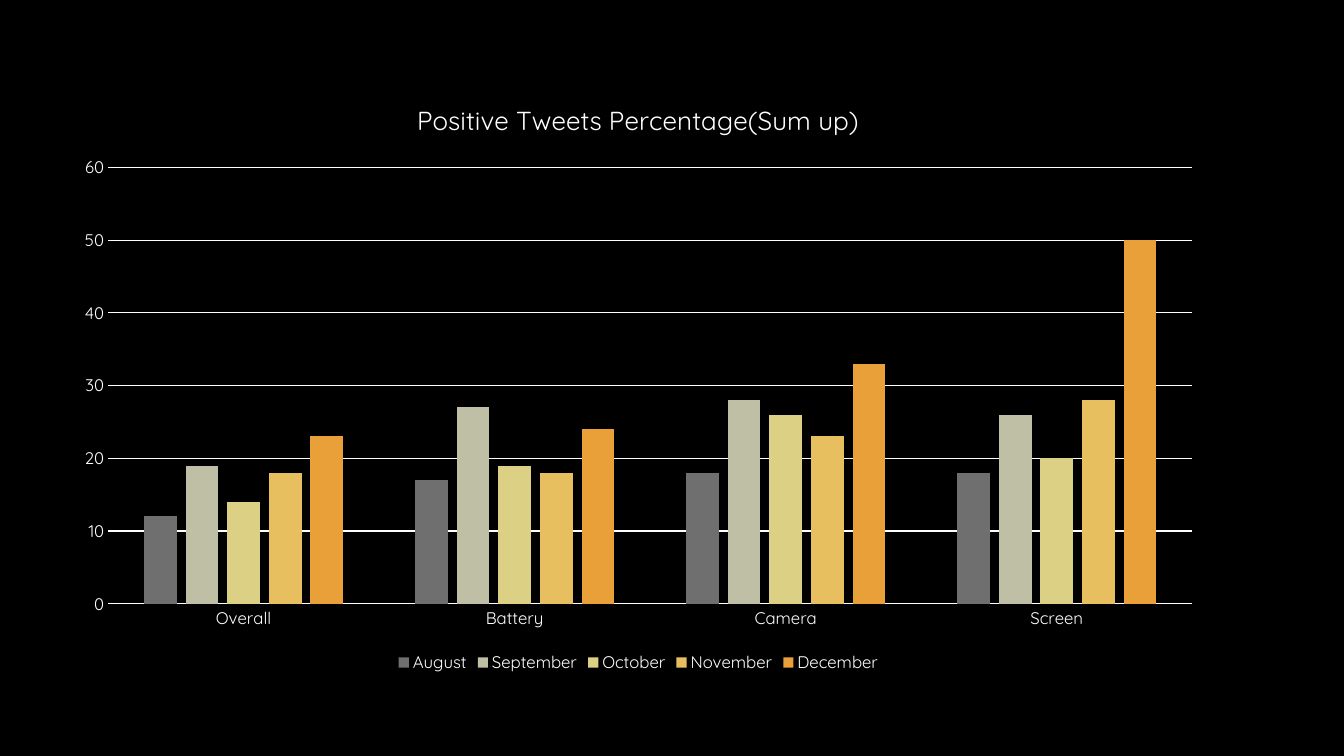
import pptx
import pptx.util
import pptx.chart.data
import pptx.dml.color
import pptx.enum.chart

Cm = pptx.util.Cm
Pt = pptx.util.Pt
FONT = "Quicksand"
COLORS = {
    "back": "000000",
    "text": "FFFFFF",
    "August": "6F6F6F",
    "September": "BFBFA5",
    "October": "DCD084",
    "November": "E7BF5F",
    "December": "E9A039",
}
TOPICS = ["Overall", "Battery", "Camera", "Screen"]
MONTHS = {
    "August": [12, 17, 18, 18],
    "September": [19, 27, 28, 26],
    "October": [14, 19, 26, 20],
    "November": [18, 18, 23, 28],
    "December": [23, 24, 33, 50],
}


def paint(fill, name):
    fill.solid()
    fill.fore_color.rgb = pptx.dml.color.RGBColor.from_string(COLORS[name])


def style(font, size):
    font.name = FONT
    font.size = Pt(size)
    font.bold = False
    paint(font.fill, "text")


def rule(line):
    paint(line.fill, "text")
    line.width = Pt(0.75)


def add_bars(slide):
    data = pptx.chart.data.CategoryChartData()
    data.categories = TOPICS
    for month, shares in MONTHS.items():
        data.add_series(month, shares)
    kind = pptx.enum.chart.XL_CHART_TYPE.COLUMN_CLUSTERED
    frame = slide.shapes.add_chart(
        kind, Cm(1.55), Cm(2), Cm(29.08), Cm(15.06), data)
    chart = frame.chart
    style(chart.font, 10)
    plot = chart.plots[0]
    plot.gap_width = 219
    plot.overlap = -27
    plot.vary_by_categories = False
    for bars in plot.series:
        paint(bars.format.fill, bars.name)
    return chart


def set_title(chart, text):
    chart.has_title = True
    frame = chart.chart_title.text_frame
    frame.text = text
    style(frame.paragraphs[0].runs[0].font, 18.6)
    chart.chart_title.include_in_layout = False


def set_axes(chart):
    none = pptx.enum.chart.XL_TICK_MARK.NONE
    for axis in (chart.category_axis, chart.value_axis):
        axis.major_tick_mark = none
        axis.minor_tick_mark = none
        style(axis.tick_labels.font, 12)
    rule(chart.category_axis.format.line)
    scale = chart.value_axis
    scale.minimum_scale = 0
    scale.maximum_scale = 60
    scale.major_unit = 10
    scale.format.line.fill.background()
    rule(scale.major_gridlines.format.line)


def set_legend(chart):
    chart.has_legend = True
    chart.legend.position = pptx.enum.chart.XL_LEGEND_POSITION.BOTTOM
    chart.legend.include_in_layout = False
    style(chart.legend.font, 12)


def main():
    deck = pptx.Presentation()
    deck.slide_width = Cm(33.87)
    deck.slide_height = Cm(19.05)

    # Black slide without placeholders
    slide = deck.slides.add_slide(deck.slide_layouts[6])
    paint(slide.background.fill, "back")

    # Monthly share of positive tweets by topic
    chart = add_bars(slide)
    set_title(chart, "Positive Tweets Percentage(Sum up)")
    set_axes(chart)
    set_legend(chart)

    deck.save("out.pptx")


if __name__ == "__main__":
    main()
